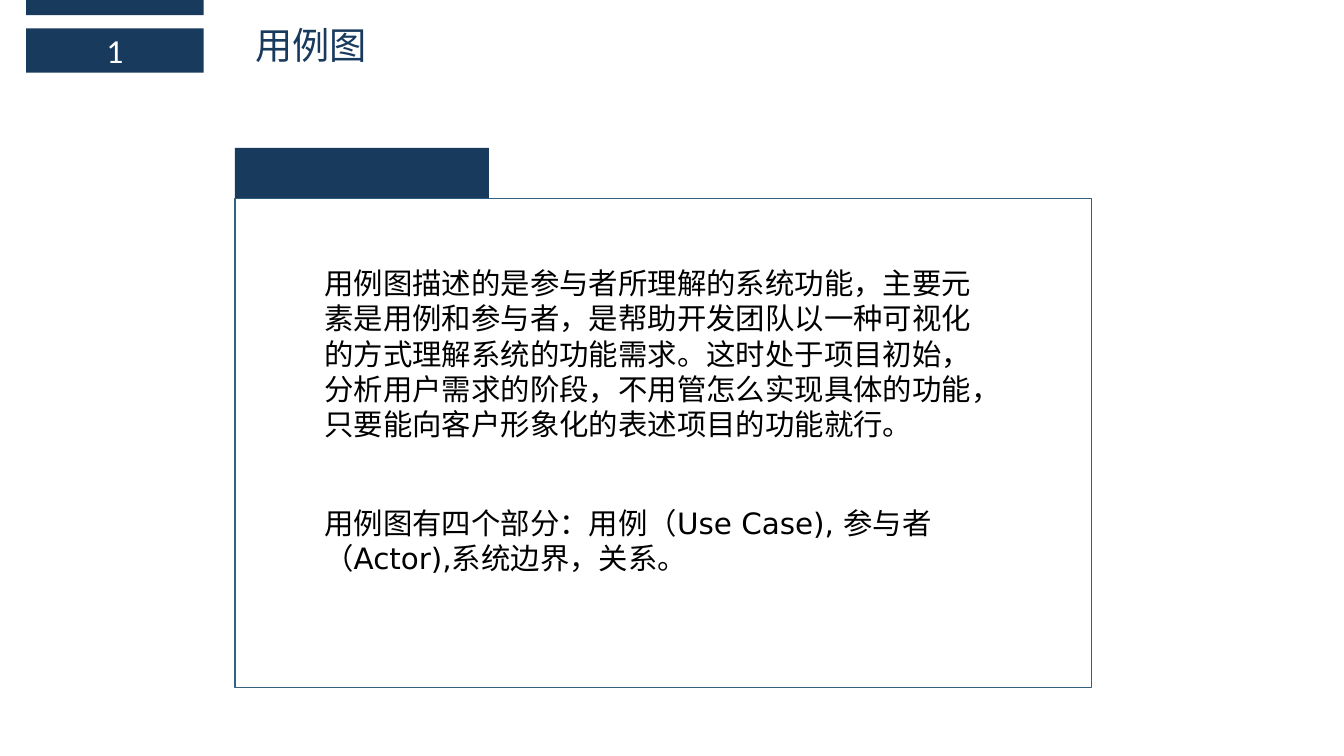
from dataclasses import dataclass

from lxml import etree
from pptx import Presentation
from pptx.dml.color import RGBColor
from pptx.enum import shapes, text
from pptx.oxml import ns
from pptx.util import Pt

TITLE = "用例图"
NUMBER = "1"
PARAGRAPHS = [
    ("用例图描述的是参与者所理解的系统功能，主要元素是用例和参与者，"
     "是帮助开发团队以一种可视化的方式理解系统的功能需求。"
     "这时处于项目初始，分析用户需求的阶段，不用管怎么实现具体的功能，"
     "只要能向客户形象化的表述项目的功能就行。", 185.8, 134.6),
    ("用例图有四个部分：用例（Use Case), 参与者（Actor),系统边界，关系。", 357.1, 58.3),
]


@dataclass(frozen=True)
class Theme:
    navy: RGBColor = RGBColor(0x18, 0x3A, 0x5D)
    outline: RGBColor = RGBColor(0x34, 0x61, 0x82)
    white: RGBColor = RGBColor(0xFF, 0xFF, 0xFF)
    black: RGBColor = RGBColor(0, 0, 0)
    number_font: str = "Calibri"
    title_font: str = "Noto Sans CJK SC"
    body_font: str = "DejaVu Sans"
    number_size: float = 24
    title_size: float = 26.6
    body_size: float = 21


THEME = Theme()
BADGE_LEFT, BADGE_WIDTH = 18.7, 126.7
PANEL_LEFT, PANEL_TOP, PANEL_WIDTH, PANEL_HEIGHT = 167.8, 141.6, 612, 349.6
TAB_WIDTH, TAB_HEIGHT = 181.4, 36
TEXT_LEFT, TEXT_WIDTH = 224.6, 479.5


def add_rectangle(page, left, top, width, height, fill=None, line=None):
    box = page.shapes.add_shape(
        shapes.MSO_SHAPE.RECTANGLE, Pt(left), Pt(top), Pt(width), Pt(height))
    box.shadow.inherit = False
    if fill is None:
        box.fill.background()
    else:
        box.fill.solid()
        box.fill.fore_color.rgb = fill
    if line is None:
        box.line.fill.background()
    else:
        box.line.color.rgb = line
        box.line.width = Pt(1)
    return box


def write(box, words, font, size, color, align, anchor):
    frame = box.text_frame
    frame.text = words
    frame.word_wrap = True
    frame.auto_size = text.MSO_AUTO_SIZE.NONE
    frame.vertical_anchor = anchor
    para = frame.paragraphs[0]
    para.alignment = align
    span = para.runs[0]
    span.font.name = font
    span.font.size = Pt(size)
    span.font.color.rgb = color
    latin = span.font._element.find(ns.qn("a:latin"))
    east_asian = etree.Element(ns.qn("a:ea"), typeface=font)
    latin.addnext(east_asian)


def main():
    deck = Presentation()
    deck.slide_width, deck.slide_height = Pt(960), Pt(540)
    page = deck.slides.add_slide(deck.slide_layouts[5])
    left, center = text.PP_ALIGN.LEFT, text.PP_ALIGN.CENTER
    top, middle = text.MSO_ANCHOR.TOP, text.MSO_ANCHOR.MIDDLE

    add_rectangle(page, BADGE_LEFT, 0, BADGE_WIDTH, 10.8, fill=THEME.navy)
    badge = add_rectangle(page, BADGE_LEFT, 20.2, BADGE_WIDTH, 31.7, fill=THEME.navy)
    write(badge, NUMBER, THEME.number_font, THEME.number_size, THEME.white, center, middle)

    title = page.shapes.title
    title.left, title.top, title.width, title.height = Pt(175), Pt(12.2), Pt(476.6), Pt(39.6)
    write(title, TITLE, THEME.title_font, THEME.title_size, THEME.navy, left, middle)

    add_rectangle(page, PANEL_LEFT, PANEL_TOP, PANEL_WIDTH, PANEL_HEIGHT, line=THEME.outline)
    add_rectangle(page, PANEL_LEFT, PANEL_TOP - TAB_HEIGHT, TAB_WIDTH, TAB_HEIGHT, fill=THEME.navy)

    for words, text_top, text_height in PARAGRAPHS:
        box = page.shapes.add_textbox(
            Pt(TEXT_LEFT), Pt(text_top), Pt(TEXT_WIDTH), Pt(text_height))
        write(box, words, THEME.body_font, THEME.body_size, THEME.black, left, top)

    deck.save("out.pptx")


if __name__ == "__main__":
    main()
